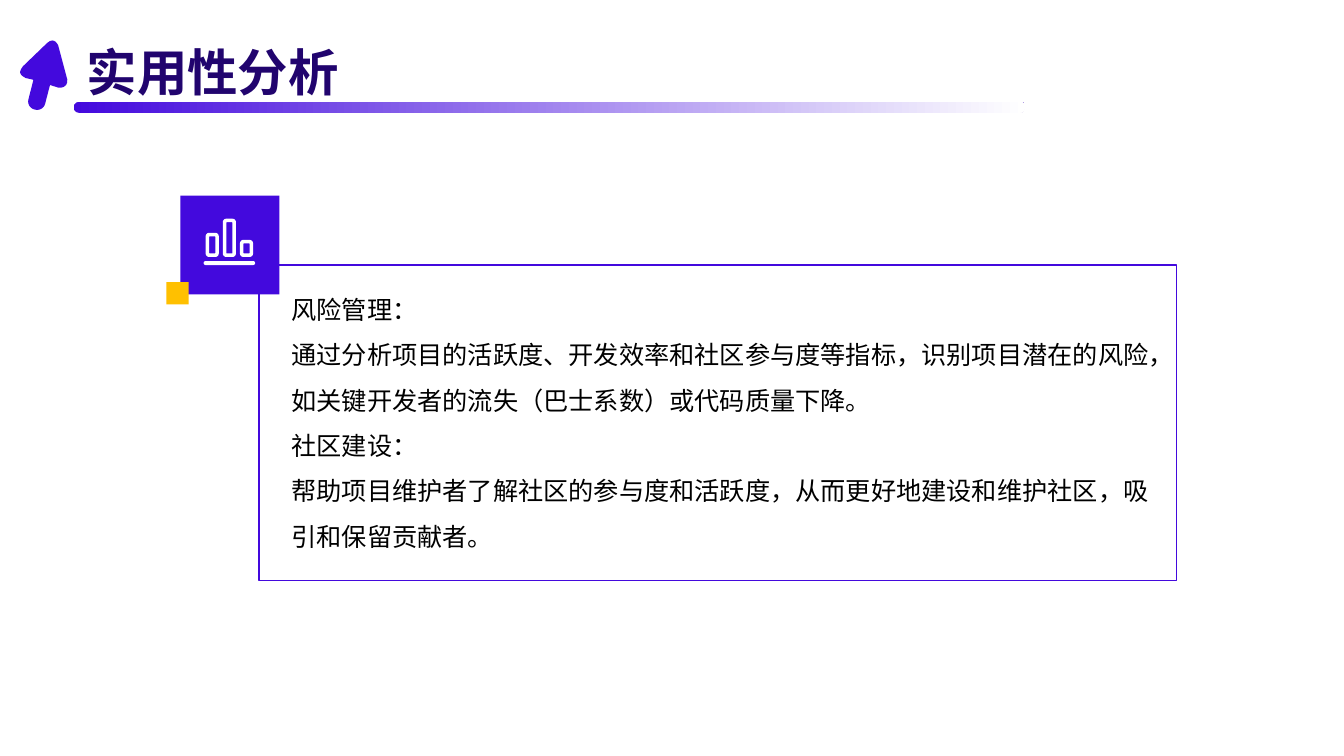
from math import cos, pi, sin

from lxml.etree import SubElement
from pptx import Presentation
from pptx.dml.color import RGBColor
from pptx.enum.shapes import MSO_SHAPE
from pptx.enum.text import MSO_ANCHOR
from pptx.oxml.ns import qn
from pptx.util import Inches, Pt

COLORS = {
    "violet": "4309DD",
    "navy": "21046E",
    "gold": "FFC000",
    "white": "FFFFFF",
    "black": "000000",
}
FONT = "Noto Sans CJK SC"
TITLE = "实用性分析"
BODY = [
    "风险管理：",
    "通过分析项目的活跃度、开发效率和社区参与度等指标，识别项目潜在的风险，如关键开发者的流失（巴士系数）或代码质量下降。",
    "社区建设：",
    "帮助项目维护者了解社区的参与度和活跃度，从而更好地建设和维护社区，吸引和保留贡献者。",
]
ARROW = [
    (0.18, 0.07),
    (0.17, 0.09, 0.17, 0.11, 0.19, 0.15),
    (0.24, 0.21),
    (0.09, 0.33),
    (0.05, 0.36, 0.04, 0.41, 0.07, 0.45),
    (0.1, 0.49, 0.15, 0.5, 0.19, 0.47),
    (0.34, 0.35),
    (0.39, 0.42),
    (0.39, 0.42, 0.46, 0.49, 0.51, 0.41),
    (0.64, 0.09),
    (0.64, 0.09, 0.67, -0.01, 0.57, 0),
    (0.24, 0.04),
    (0.24, 0.04, 0.2, 0.05, 0.18, 0.07),
]


def color(name):
    return RGBColor.from_string(COLORS[name])


def box(slide, kind, left, top, width, height, fill, line=None):
    shape = slide.shapes.add_shape(
        kind, Inches(left), Inches(top), Inches(width), Inches(height)
    )
    shape.shadow.inherit = False
    shape.fill.solid()
    shape.fill.fore_color.rgb = color(fill)
    if line:
        shape.line.color.rgb = color(line)
        shape.line.width = Pt(1)
    else:
        shape.line.fill.background()
    return shape


def write(slide, left, top, width, height, lines, size, ink, space, anchor, bold=False):
    area = slide.shapes.add_textbox(
        Inches(left), Inches(top), Inches(width), Inches(height)
    )
    frame = area.text_frame
    frame.word_wrap = True
    frame.vertical_anchor = anchor
    frame.margin_left = frame.margin_right = 0
    frame.margin_top = frame.margin_bottom = 0
    frame.text = "\n".join(lines)
    for para in frame.paragraphs:
        para.line_spacing = space
        font = para.font
        font.name = FONT
        font.size = Pt(size)
        font.bold = bold
        font.color.rgb = color(ink)
        SubElement(para._p.pPr.find(qn("a:defRPr")), qn("a:ea"), typeface=FONT)


def trace(steps, count=8):
    points = [steps[0]]
    for step in steps[1:]:
        if len(step) == 2:
            points.append(step)
            continue
        nodes = [points[-1], step[:2], step[2:4], step[4:]]
        for i in range(1, count + 1):
            t = i / count
            parts = ((1 - t) ** 3, 3 * t * (1 - t) ** 2, 3 * t * t * (1 - t), t**3)
            points.append(
                tuple(sum(p * n[axis] for p, n in zip(parts, nodes)) for axis in (0, 1))
            )
    return points


def pill(left, top, width, height, radius, count=6):
    points = []
    for turn, (x, y) in enumerate(
        [
            (left + width - radius, top + height - radius),
            (left + radius, top + height - radius),
            (left + radius, top + radius),
            (left + width - radius, top + radius),
        ]
    ):
        for i in range(count + 1):
            angle = (turn + i / count) * pi / 2
            points.append((x + radius * cos(angle), y + radius * sin(angle)))
    return points


def outline(slide, left, top, loops, fill):
    loops = [[(Inches(left + x), Inches(top + y)) for x, y in loop] for loop in loops]
    pen = slide.shapes.build_freeform(*loops[0][0])
    for i, loop in enumerate(loops):
        if i:
            pen.move_to(*loop[0])
        pen.add_line_segments(loop[1:], close=True)
    shape = pen.convert_to_shape()
    shape.shadow.inherit = False
    shape.fill.solid()
    shape.fill.fore_color.rgb = color(fill)
    shape.line.fill.background()
    return shape


def chart_icon(slide, left, top):
    loops = []
    base, wide, edge = 0.38, 0.13, 0.035
    for i, tall in enumerate((0.24, 0.38, 0.17)):
        x = 0.02 + i * 0.17
        y = base - tall
        loops.append(pill(x, y, wide, tall, 0.035))
        hole = pill(x + edge, y + edge, wide - 2 * edge, tall - 2 * edge, 0.004)
        loops.append(hole[::-1])
    loops.append(pill(0, 0.42, 0.51, 0.04, 0.02))
    outline(slide, left, top, loops, "white")


def header(slide, left, top):
    write(slide, left + 0.77, top, 11.67, 0.51, [TITLE], 36, "navy", 1.1,
          MSO_ANCHOR.MIDDLE, True)
    bar = box(slide, MSO_SHAPE.ROUNDED_RECTANGLE, left + 0.64, top + 0.59,
              9.44, 0.11, "violet")
    bar.adjustments[0] = 0.5
    bar.fill.gradient()
    bar.fill.gradient_angle = 0
    for stop, name, place in zip(bar.fill.gradient_stops, ("violet", "white"), (0, 1)):
        stop.color.rgb = color(name)
        stop.position = place
    arrow = outline(slide, left, top + 0.09, [trace(ARROW)], "violet")
    arrow.rotation = 323


def card(slide, left, top, width, height):
    box(slide, MSO_SHAPE.RECTANGLE, left, top, width, height, "white", "violet")
    write(slide, left + 0.32, top + 0.14, width - 0.45, 2.71, BODY, 18, "black", 1.5,
          MSO_ANCHOR.TOP)
    box(slide, MSO_SHAPE.RECTANGLE, left - 0.78, top - 0.69, 0.98, 0.98, "violet")
    box(slide, MSO_SHAPE.RECTANGLE, left - 0.92, top + 0.17, 0.22, 0.22, "gold")
    chart_icon(slide, left - 0.55, top - 0.46)


def main():
    deck = Presentation()
    deck.slide_width = Inches(13.33)
    deck.slide_height = Inches(7.5)
    slide = deck.slides.add_slide(deck.slide_layouts[6])
    header(slide, 0.09, 0.42)
    card(slide, 2.57, 2.63, 9.1, 3.13)
    deck.save("out.pptx")


if __name__ == "__main__":
    main()
